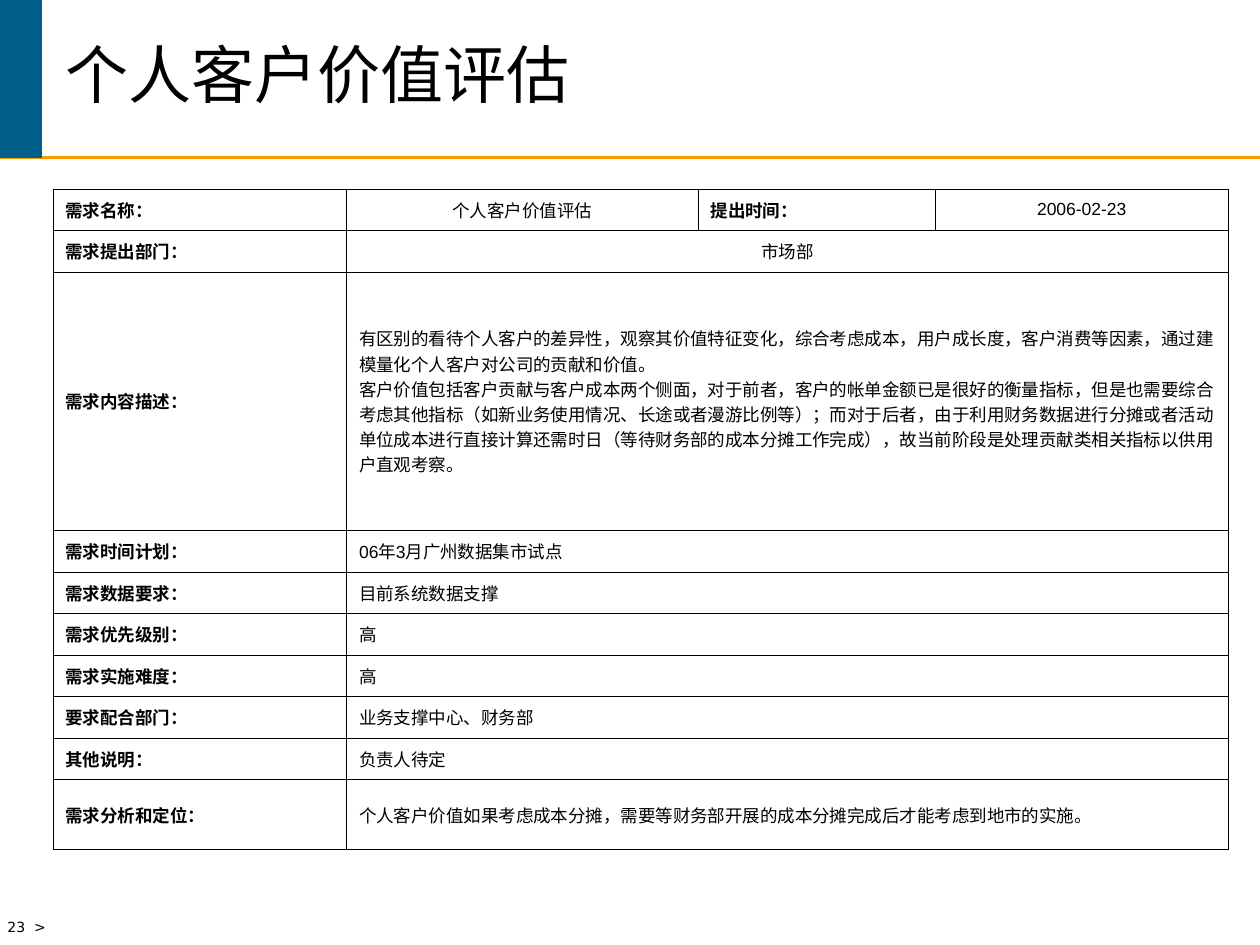
from itertools import groupby

from lxml.etree import SubElement
from pptx import Presentation
from pptx.dml.color import RGBColor
from pptx.enum.shapes import MSO_CONNECTOR, MSO_SHAPE
from pptx.enum.text import MSO_ANCHOR, MSO_AUTO_SIZE, PP_ALIGN
from pptx.oxml import parse_xml
from pptx.oxml.ns import nsdecls, qn
from pptx.util import Inches, Pt

BLACK, BLUE, ORANGE = "000000", "005E8A", "FF9900"
SANS, LATIN = "DejaVu Sans", "Arial"
COLS = [2.33, 2.79, 1.88, 2.33]
ROWS = [0.33, 0.33, 2.05] + [0.33] * 6 + [0.55]
CONTENT = [
    ["需求名称：", "个人客户价值评估", "提出时间：", "2006-02-23"],
    ["需求提出部门：", "市场部"],
    ["需求内容描述：",
     "有区别的看待个人客户的差异性，观察其价值特征变化，综合考虑成本，用户成长度，客户消费等因素，"
     "通过建模量化个人客户对公司的贡献和价值。\n"
     "客户价值包括客户贡献与客户成本两个侧面，对于前者，客户的帐单金额已是很好的衡量指标，"
     "但是也需要综合考虑其他指标（如新业务使用情况、长途或者漫游比例等）；而对于后者，"
     "由于利用财务数据进行分摊或者活动单位成本进行直接计算还需时日（等待财务部的成本分摊工作完成），"
     "故当前阶段是处理贡献类相关指标以供用户直观考察。"],
    ["需求时间计划：", "06年3月广州数据集市试点"],
    ["需求数据要求：", "目前系统数据支撑"],
    ["需求优先级别：", "高"],
    ["需求实施难度：", "高"],
    ["要求配合部门：", "业务支撑中心、财务部"],
    ["其他说明：", "负责人待定"],
    ["需求分析和定位：", "个人客户价值如果考虑成本分摊，需要等财务部开展的成本分摊完成后才能考虑到地市的实施。"],
]


def rgb(value):
    """Return the colour for a hex string."""
    return RGBColor.from_string(value)


def set_font(font, size, name=SANS, bold=False):
    """Apply size, typeface, weight and black to a font."""
    font.size, font.name, font.bold = Pt(size), name, bold
    font.color.rgb = rgb(BLACK)


def add_header(s):
    """Draw the orange rule and the blue block beside the title."""
    rule = s.shapes.add_connector(
        MSO_CONNECTOR.STRAIGHT, 0, Inches(1.25), Inches(10), Inches(1.25))
    rule.line.color.rgb = rgb(ORANGE)
    rule.line.width = Pt(1.5)
    SubElement(rule._element.spPr, qn("a:effectLst"))
    block = s.shapes.add_shape(MSO_SHAPE.RECTANGLE, 0, 0, Inches(0.33), Inches(1.25))
    block.shadow.inherit = False
    block.fill.solid()
    block.fill.fore_color.rgb = block.line.color.rgb = rgb(BLUE)
    block.line.width = Pt(1)


def set_title(s, text):
    """Place and format the title placeholder."""
    sp = s.shapes.title
    sp.left, sp.top, sp.width, sp.height = Inches(0.42), 0, Inches(9.33), Inches(1.25)
    tf = sp.text_frame
    tf.text = text
    tf.auto_size = MSO_AUTO_SIZE.NONE
    tf.vertical_anchor = MSO_ANCHOR.MIDDLE
    p = tf.paragraphs[0]
    p.alignment = PP_ALIGN.LEFT
    p.line_spacing = 0.85
    set_font(p.font, 36)


def add_page_mark(s, text):
    """Add the page number at the lower left."""
    sp = s.shapes.add_textbox(Inches(-0.04), Inches(7.24), Inches(1.38), Inches(0.26))
    tf = sp.text_frame
    tf.word_wrap = False
    p = tf.paragraphs[0]
    p.text = text
    p.alignment = PP_ALIGN.LEFT
    set_font(p.font, 8)


def set_borders(cell):
    """Give a cell thin black lines on all four sides."""
    tc_pr = cell._tc.get_or_add_tcPr()
    for i, side in enumerate("LRTB"):
        tc_pr.insert(i, parse_xml(
            f'<a:ln{side} {nsdecls("a")} w="{Pt(0.45)}"><a:solidFill>'
            f'<a:srgbClr val="{BLACK}"/></a:solidFill></a:ln{side}>'))


def fill_cell(cell, text, bold, align):
    """Write a cell, setting figures in the Latin typeface."""
    tf = cell.text_frame
    for i, line in enumerate(text.split("\n")):
        p = tf.add_paragraph() if i else tf.paragraphs[0]
        p.alignment = align
        for latin, chars in groupby(line, str.isascii):
            r = p.add_run()
            r.text = "".join(chars)
            set_font(r.font, 10, LATIN if latin else SANS, bold)


def add_request_table(s):
    """Build the request form, merging values that span the row."""
    table = s.shapes.add_table(
        len(ROWS), len(COLS), Inches(0.42), Inches(1.5), Inches(9.33), Inches(5.25)).table
    table.first_row = table.horz_banding = False
    for column, width in zip(table.columns, COLS):
        column.width = Inches(width)
    for row, height in zip(table.rows, ROWS):
        row.height = Inches(height)
    for cell in table.iter_cells():
        cell.fill.background()
        cell.vertical_anchor = MSO_ANCHOR.MIDDLE
        set_borders(cell)
    for i, texts in enumerate(CONTENT):
        if len(texts) == 2:
            table.cell(i, 1).merge(table.cell(i, 3))
        for j, text in enumerate(texts):
            label = j % 2 == 0
            centred = i < 2 and not label
            fill_cell(table.cell(i, j), text, label,
                      PP_ALIGN.CENTER if centred else PP_ALIGN.LEFT)


def main():
    """Build and save the slide."""
    prs = Presentation()
    prs.slide_width, prs.slide_height = Inches(10), Inches(7.5)
    s = prs.slides.add_slide(prs.slide_layouts[5])
    add_header(s)
    add_page_mark(s, "23  >")
    set_title(s, "个人客户价值评估")
    add_request_table(s)
    prs.save("out.pptx")


if __name__ == "__main__":
    main()
